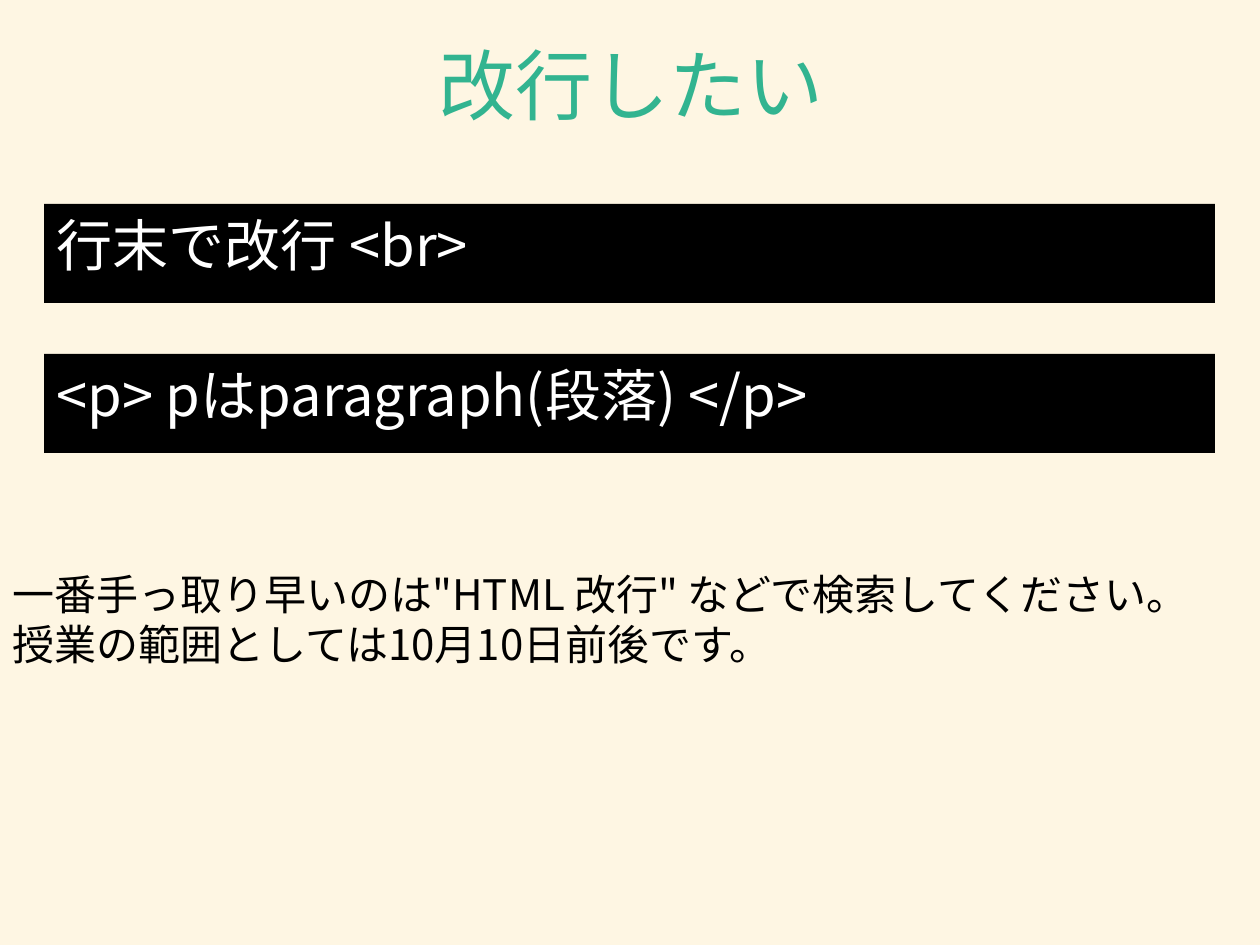
"""Build a slide on how to break lines in HTML."""
import pptx
import pptx.dml.color
import pptx.enum.shapes
import pptx.enum.text
import pptx.oxml
import pptx.oxml.ns
import pptx.util

TITLE = "改行したい"
EXAMPLES = ["行末で改行 <br>", "<p> pはparagraph(段落) </p>"]
NOTES = [
    "一番手っ取り早いのは\"HTML 改行\" などで検索してください。",
    "授業の範囲としては10月10日前後です。",
]

FONT = "Noto Sans CJK JP"
CREAM = pptx.dml.color.RGBColor(0xFE, 0xF6, 0xE3)
GREEN = pptx.dml.color.RGBColor(0x32, 0xB4, 0x90)
BLACK = pptx.dml.color.RGBColor(0, 0, 0)
WHITE = pptx.dml.color.RGBColor(255, 255, 255)

PX = 914400 // 126
TITLE_BOX = (64, 16, 1134, 135)
NOTES_BOX = (0, 562, 1270, 165)
BAR_LEFT, BAR_TOP, BAR_WIDTH, BAR_HEIGHT = 44, 204, 1171, 99
BAR_PITCH = 150

LEFT = pptx.enum.text.PP_ALIGN.LEFT
CENTER = pptx.enum.text.PP_ALIGN.CENTER
TOP = pptx.enum.text.MSO_ANCHOR.TOP
MIDDLE = pptx.enum.text.MSO_ANCHOR.MIDDLE


def emu(box):
    return [length * PX for length in box]


def write(frame, lines, size, color, align=LEFT, anchor=TOP):
    frame.word_wrap = True
    frame.vertical_anchor = anchor
    for index, line in enumerate(lines):
        paragraph = frame.add_paragraph() if index else frame.paragraphs[0]
        paragraph.alignment = align
        run = paragraph.add_run()
        run.text = line
        run.font.size = pptx.util.Pt(size)
        run.font.name = FONT
        run.font.color.rgb = color
        east_asian = pptx.oxml.parse_xml(
            f'<a:ea {pptx.oxml.ns.nsdecls("a")} typeface="{FONT}"/>')
        run.font._element.find(pptx.oxml.ns.qn("a:latin")).addnext(east_asian)


def main():
    deck = pptx.Presentation()
    deck.slide_width, deck.slide_height = emu((1260, 945))
    slide = deck.slides.add_slide(deck.slide_layouts.get_by_name("Title Only"))
    slide.background.fill.solid()
    slide.background.fill.fore_color.rgb = CREAM

    title = slide.shapes.title
    title.left, title.top, title.width, title.height = emu(TITLE_BOX)
    write(title.text_frame, [TITLE], 44, GREEN, CENTER, MIDDLE)

    for row, example in enumerate(EXAMPLES):
        box = (BAR_LEFT, BAR_TOP + row * BAR_PITCH, BAR_WIDTH, BAR_HEIGHT)
        bar = slide.shapes.add_shape(
            pptx.enum.shapes.MSO_SHAPE.RECTANGLE, *emu(box))
        bar.shadow.inherit = False
        bar.fill.solid()
        bar.fill.fore_color.rgb = BLACK
        bar.line.fill.background()
        write(bar.text_frame, [example], 32, WHITE)

    notes = slide.shapes.add_textbox(*emu(NOTES_BOX))
    write(notes.text_frame, NOTES, 24, BLACK)

    deck.save("out.pptx")


if __name__ == "__main__":
    main()
